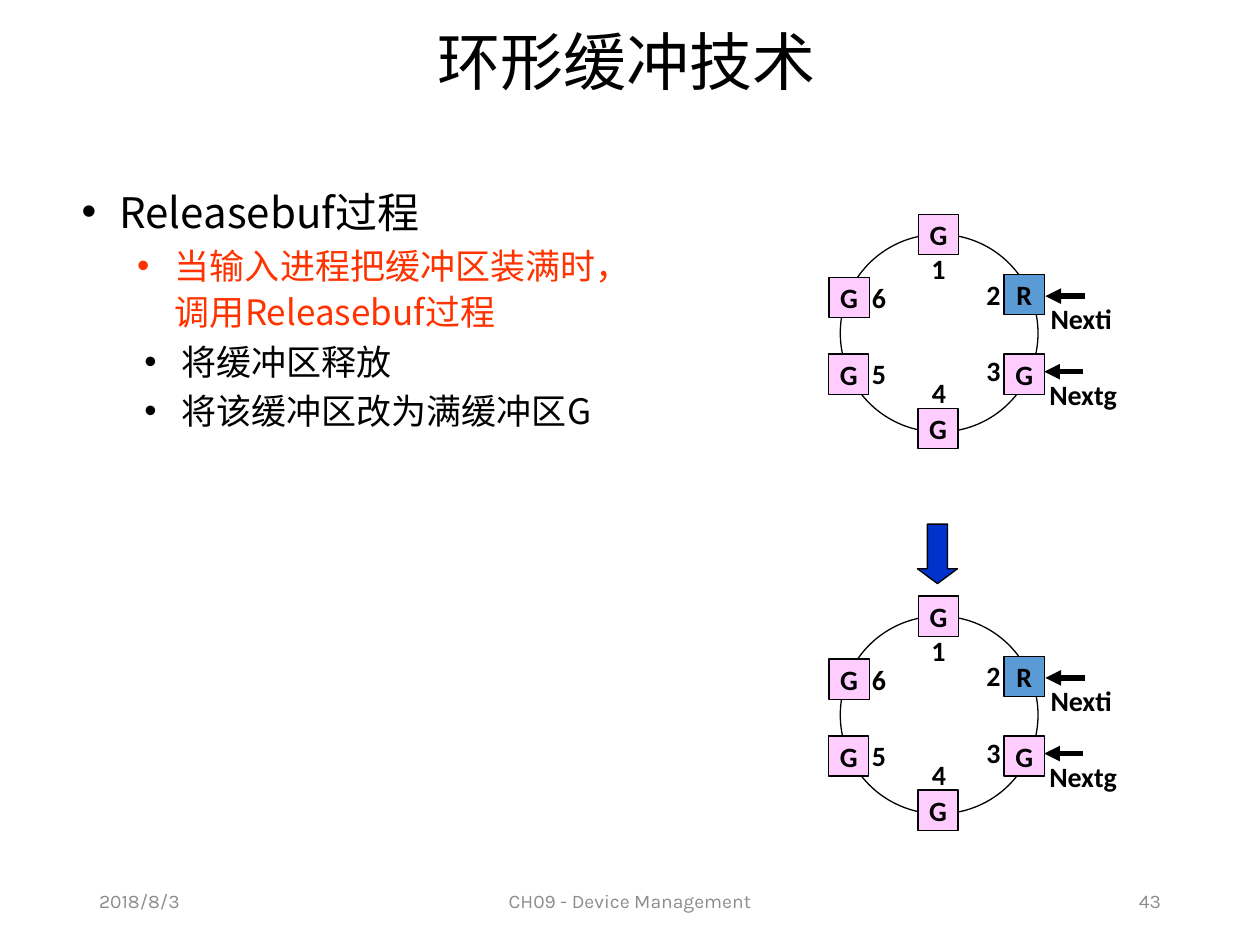
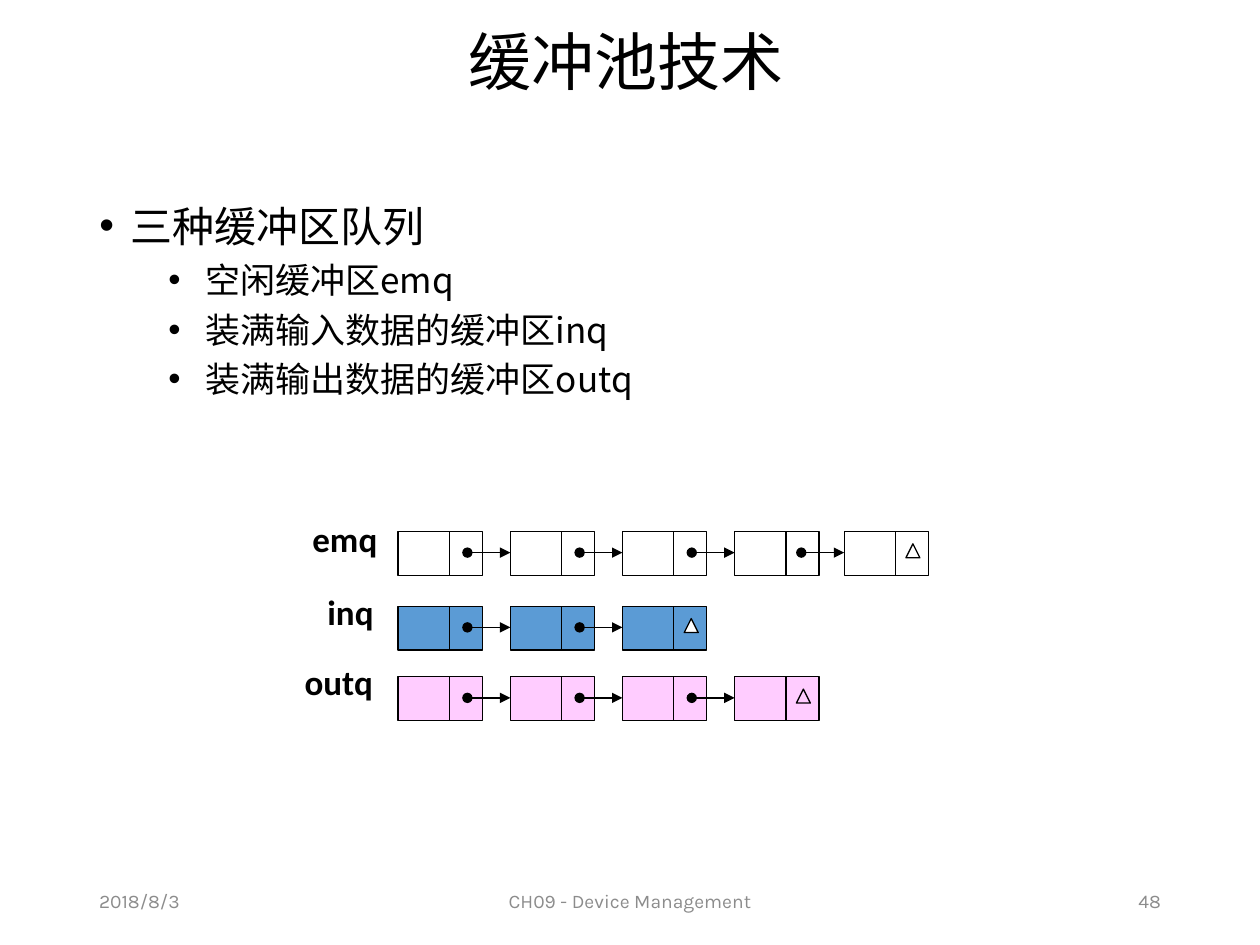
"""Build two slides on ring buffering and buffer pools."""
from lxml.etree import SubElement
from pptx import Presentation
from pptx.dml.color import RGBColor
from pptx.enum.shapes import MSO_CONNECTOR, MSO_SHAPE
from pptx.enum.text import MSO_ANCHOR, PP_ALIGN
from pptx.oxml.ns import qn
from pptx.util import Pt

COLORS = {
    "ink": "000000", "white": "FFFFFF", "alert": "FF3300", "muted": "8C8C8C",
    "blue": "5B9BD5", "pink": "FFCCFF", "arrow": "0033CC",
}
BODY_FONT, LABEL_FONT, FOOTER_FONT = "Noto Sans CJK SC", "Calibri", "Karla"

RING_LEFT, RING_TOPS, RING_SIZE, BUFFER_SIZE = 480.2, (133.9, 352.1), 113, 23
RING_BUFFERS = [
    ("G", (44.6, -11.5), (44.9, 6.5)),
    ("R", (93.6, 23), (76.3, 20.9)),
    ("G", (93.6, 68.4), (76.3, 64.8)),
    ("G", (44.3, 99.4), (45.2, 77)),
    ("G", (-6.7, 68.4), (11, 66.2)),
    ("G", (-6.5, 24.5), (11, 23)),
]
RING_POINTERS = [("Nexti", 117.2, 35.3), ("Nextg", 116.5, 78.5)]

CELL_LEFTS = (227.5, 291.6, 355.7, 419.8, 482.4)
CELL_WIDTH, CELL_HEIGHT, DIVIDER_OFFSET = 48.2, 25, 29.3
QUEUES = [
    ("emq", 5, 303.8, "white", "white", (171.4, 292.3)),
    ("inq", 3, 346.5, "blue", "white", (180, 334.1)),
    ("outq", 4, 386.8, "pink", "pink", (167, 373.7)),
]


def rgb(color):
    return RGBColor.from_string(COLORS[color])


def add_run(para, text, size, font, color="ink", bold=False):
    span = para.add_run()
    span.text = text
    span.font.size = Pt(size)
    span.font.bold = bold
    span.font.name = font
    span.font.color.rgb = rgb(color)
    SubElement(span.font._element, qn("a:ea"), typeface=font)


def add_box(page, left, top, width, height):
    box = page.shapes.add_textbox(Pt(left), Pt(top), Pt(width), Pt(height))
    box.text_frame.word_wrap = True
    return box.text_frame


def add_label(page, text, left, top, width, size=16):
    para = add_box(page, left, top, width, size * 1.65).paragraphs[0]
    add_run(para, text, size, LABEL_FONT, bold=True)


def add_shape(page, kind, left, top, width, height, fill=None):
    shape = page.shapes.add_shape(kind, Pt(left), Pt(top), Pt(width), Pt(height))
    shape.shadow.inherit = False
    if fill:
        shape.fill.solid()
        shape.fill.fore_color.rgb = rgb(fill)
    else:
        shape.fill.background()
    shape.line.color.rgb = rgb("ink")
    shape.line.width = Pt(0.75)
    return shape


def add_line(page, start, end, width=0.75, head=None, tail=None):
    line = page.shapes.add_connector(
        MSO_CONNECTOR.STRAIGHT, *(Pt(value) for value in (*start, *end)))
    line.line.color.rgb = rgb("ink")
    line.line.width = Pt(width)
    properties = line.element.spPr
    outline = properties.find(qn("a:ln"))
    for tag, style in (("a:headEnd", head), ("a:tailEnd", tail)):
        if style:
            SubElement(outline, qn(tag), type=style)
    SubElement(properties, qn("a:effectLst"))


def add_bullets(page, frame, items):
    text_frame = add_box(page, *frame)
    for index, item in enumerate(items):
        text, size, margin, hanging, spacing, before, color = item
        para = text_frame.paragraphs[0] if index == 0 else text_frame.add_paragraph()
        para.line_spacing = spacing
        para.space_before = Pt(before)
        properties = para._p.get_or_add_pPr()
        properties.set("marL", str(Pt(margin)))
        properties.set("indent", str(-Pt(hanging)))
        SubElement(properties, qn("a:buFont"), typeface="Arial")
        SubElement(properties, qn("a:buChar"), char="•")
        add_run(para, text, size, BODY_FONT, color)


def sub_bullet(text):
    return text, 20, 60.5, 21, 1.1, 2, "ink"


def add_page(deck, title, number):
    page = deck.slides.add_slide(deck.slide_layouts[5])
    heading = page.shapes.title
    heading.left, heading.top, heading.width, heading.height = (
        Pt(47.5), Pt(10), Pt(620.6), Pt(54.7))
    heading.text_frame.vertical_anchor = MSO_ANCHOR.MIDDLE
    para = heading.text_frame.paragraphs[0]
    para.alignment = PP_ALIGN.CENTER
    para.line_spacing = 0.9
    add_run(para, title, 36, BODY_FONT)
    for text, left, width, alignment in (
            ("2018/8/3", 49.5, 162, PP_ALIGN.LEFT),
            ("CH09 - Device Management", 238.5, 243, PP_ALIGN.CENTER),
            (number, 508.5, 162, PP_ALIGN.RIGHT)):
        footer = add_box(page, left, 500.5, width, 28.8)
        footer.vertical_anchor = MSO_ANCHOR.MIDDLE
        footer.paragraphs[0].alignment = alignment
        add_run(footer.paragraphs[0], text, 11, FOOTER_FONT, "muted")
    return page


def add_buffer(page, state, left, top):
    fill = "blue" if state == "R" else "pink"
    buffer = add_shape(page, MSO_SHAPE.RECTANGLE, left, top, BUFFER_SIZE, BUFFER_SIZE, fill)
    frame = buffer.text_frame
    frame.word_wrap = False
    frame.vertical_anchor = MSO_ANCHOR.MIDDLE
    frame.paragraphs[0].alignment = PP_ALIGN.CENTER
    add_run(frame.paragraphs[0], state, 16, LABEL_FONT, bold=True)


def add_ring(page, left, top):
    add_shape(page, MSO_SHAPE.OVAL, left, top, RING_SIZE, RING_SIZE)
    for number, (state, (box_x, box_y), (label_x, label_y)) in enumerate(RING_BUFFERS, 1):
        add_buffer(page, state, left + box_x, top + box_y)
        add_label(page, str(number), left + label_x, top + label_y, 23)
    for name, tip, height in RING_POINTERS:
        x, y = left + tip, top + height
        add_line(page, (x + 22.4, y), (x, y), 3, tail="triangle")
        add_label(page, name, x - 4.2, y - 0.2, 62)


def add_queue(page, name, count, top, fill, end_fill, label_at):
    add_label(page, name, *label_at, 68, 20)
    lefts = CELL_LEFTS[:count]
    for left in lefts:
        add_shape(page, MSO_SHAPE.RECTANGLE, left, top, CELL_WIDTH, CELL_HEIGHT, fill)
        divider = left + DIVIDER_OFFSET
        add_line(page, (divider, top), (divider, top + CELL_HEIGHT))
    for target in lefts[1:]:
        add_line(page, (target - 24.5, top + 12), (target, top + 12),
                 head="oval", tail="triangle")
    add_shape(page, MSO_SHAPE.ISOSCELES_TRIANGLE, lefts[-1] + 35.3, top + 7, 8, 8, end_fill)


def build_ring_page(deck):
    page = add_page(deck, "环形缓冲技术", "43")
    add_bullets(page, (36, 100, 335.5, 414), [
        ("Releasebuf过程", 24, 25.2, 21.6, 1.1, 2.4, "ink"),
        ("当输入进程把缓冲区装满时，调用Releasebuf过程", 20, 56.9, 21.6, 1.1, 2, "alert"),
        sub_bullet("将缓冲区释放"),
        sub_bullet("将该缓冲区改为满缓冲区G"),
    ])
    for top in RING_TOPS:
        add_ring(page, RING_LEFT, top)
    arrow = add_shape(page, MSO_SHAPE.DOWN_ARROW, 524.2, 299.5, 23, 34, "arrow")
    arrow.adjustments[0] = 0.5
    arrow.adjustments[1] = 0.37


def build_pool_page(deck):
    page = add_page(deck, "缓冲池技术", "48")
    add_bullets(page, (49.7, 103.7, 620.6, 387.4), [
        ("三种缓冲区队列", 24, 18, 18, 1.25, 10, "ink"),
        sub_bullet("空闲缓冲区emq"),
        sub_bullet("装满输入数据的缓冲区inq"),
        sub_bullet("装满输出数据的缓冲区outq"),
    ])
    for queue in QUEUES:
        add_queue(page, *queue)


def main():
    deck = Presentation()
    deck.slide_width, deck.slide_height = Pt(720), Pt(540)
    build_ring_page(deck)
    build_pool_page(deck)
    deck.save("out.pptx")


if __name__ == "__main__":
    main()
